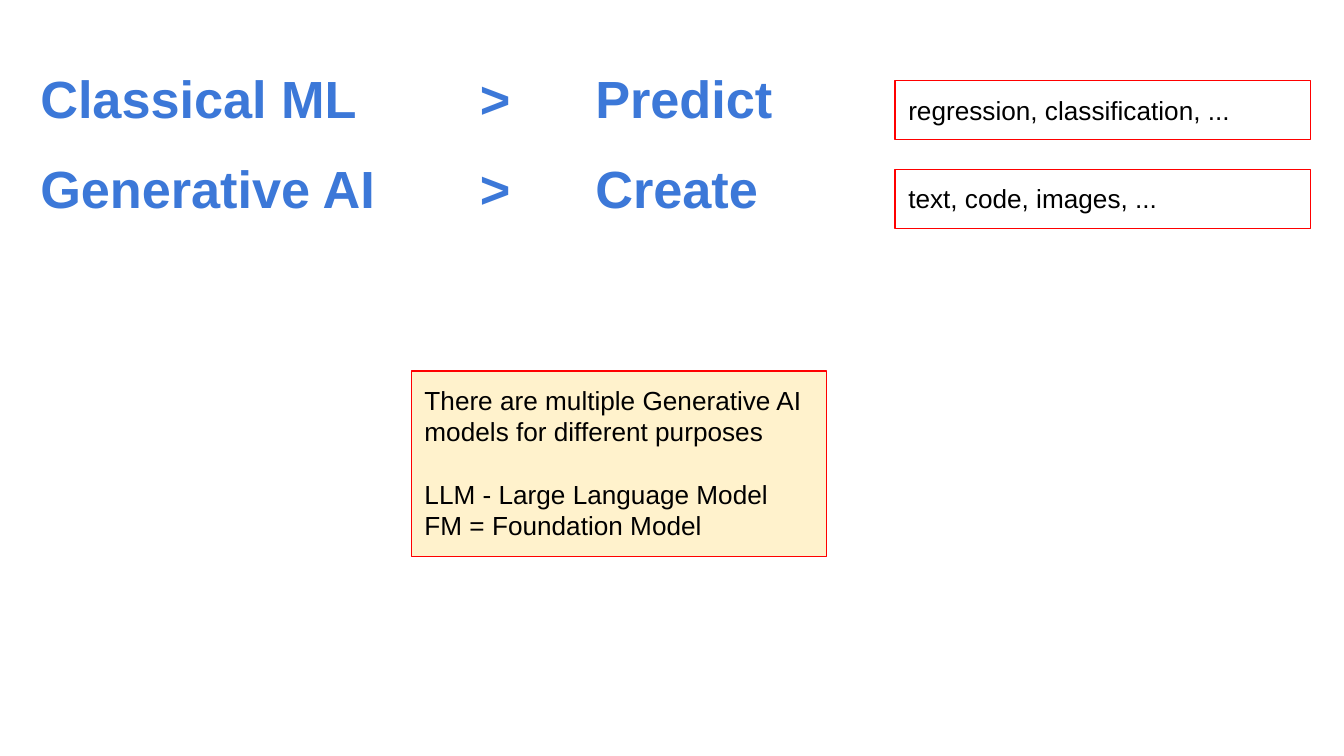
from pptx import Presentation
from pptx.dml.color import RGBColor
from pptx.enum.shapes import MSO_SHAPE
from pptx.enum.text import MSO_ANCHOR, MSO_AUTO_SIZE, PP_ALIGN
from pptx.util import Inches, Pt

WIDTH = 10
HEIGHT = WIDTH * 9 / 16
INSET = Inches(0.1)
CELL = {
    "margin_left": INSET,
    "margin_right": INSET,
    "margin_top": INSET,
    "margin_bottom": INSET,
    "vertical_anchor": MSO_ANCHOR.TOP,
}
FRAME = {**CELL, "word_wrap": True, "auto_size": MSO_AUTO_SIZE.SHAPE_TO_FIT_TEXT}
HEADING = {"name": "Arial", "size": Pt(28), "bold": True}
NOTE = {"name": "Arial", "size": Pt(14), "bold": False}
BLUE, RED, BLACK, CREAM = "3C78D8", "FF0000", "000000", "FFF2CC"

COMPARISON = [
    ("Classical ML", ">", "Predict"),
    ("Generative AI", ">", "Create"),
]
EXAMPLES = ["regression, classification, ...", "text, code, images, ..."]
MODELS = [
    ("There are multiple Generative AI models for different purposes", 0),
    ("LLM - Large Language Model", 16.75),
    ("FM = Foundation Model", 0),
]


def color(value):
    return RGBColor.from_string(value)


def apply(target, values):
    for name, value in values.items():
        setattr(target, name, value)


def write(para, text, style, ink):
    para.alignment = PP_ALIGN.LEFT
    span = para.add_run()
    span.text = text
    apply(span.font, style)
    span.font.color.rgb = color(ink)


def add_comparison(page, left, top, columns, row_height):
    frame = page.shapes.add_table(
        len(COMPARISON), len(columns), Inches(left), Inches(top),
        Inches(sum(columns)), Inches(row_height * len(COMPARISON)))
    table = frame.table
    apply(table, {"first_row": False, "horz_banding": False})
    for column, width in zip(table.columns, columns):
        column.width = Inches(width)
    for row, words in zip(table.rows, COMPARISON):
        row.height = Inches(row_height)
        for cell, word in zip(row.cells, words):
            apply(cell, CELL)
            cell.fill.background()
            write(cell.text_frame.paragraphs[0], word, HEADING, BLUE)


def add_note(page, left, top, width, height, lines, fill=None):
    box = page.shapes.add_shape(
        MSO_SHAPE.RECTANGLE, Inches(left), Inches(top), Inches(width), Inches(height))
    box.shadow.inherit = False
    if fill:
        box.fill.solid()
        box.fill.fore_color.rgb = color(fill)
    else:
        box.fill.background()
    box.line.color.rgb = color(RED)
    box.line.width = Pt(0.75)
    frame = box.text_frame
    apply(frame, FRAME)
    for index, (text, gap) in enumerate(lines):
        para = frame.add_paragraph() if index else frame.paragraphs[0]
        para.space_before = Pt(gap)
        write(para, text, NOTE, BLACK)


def add_examples(page, left, top, width, height, pitch):
    for index, text in enumerate(EXAMPLES):
        add_note(page, left, top + index * pitch, width, height, [(text, 0)])


def main():
    deck = Presentation()
    deck.slide_width, deck.slide_height = Inches(WIDTH), Inches(HEIGHT)
    page = deck.slides.add_slide(deck.slide_layouts[6])
    note_width = 3.09
    add_comparison(page, 0.02 * WIDTH, 0.43, (3.27, 0.86, 1.68), 0.67)
    add_note(page, 3.06, 2.76, note_width, 1.38, MODELS, CREAM)
    add_examples(page, 6.66, 0.6, note_width, 0.44, 0.66)
    deck.save("out.pptx")


if __name__ == "__main__":
    main()
